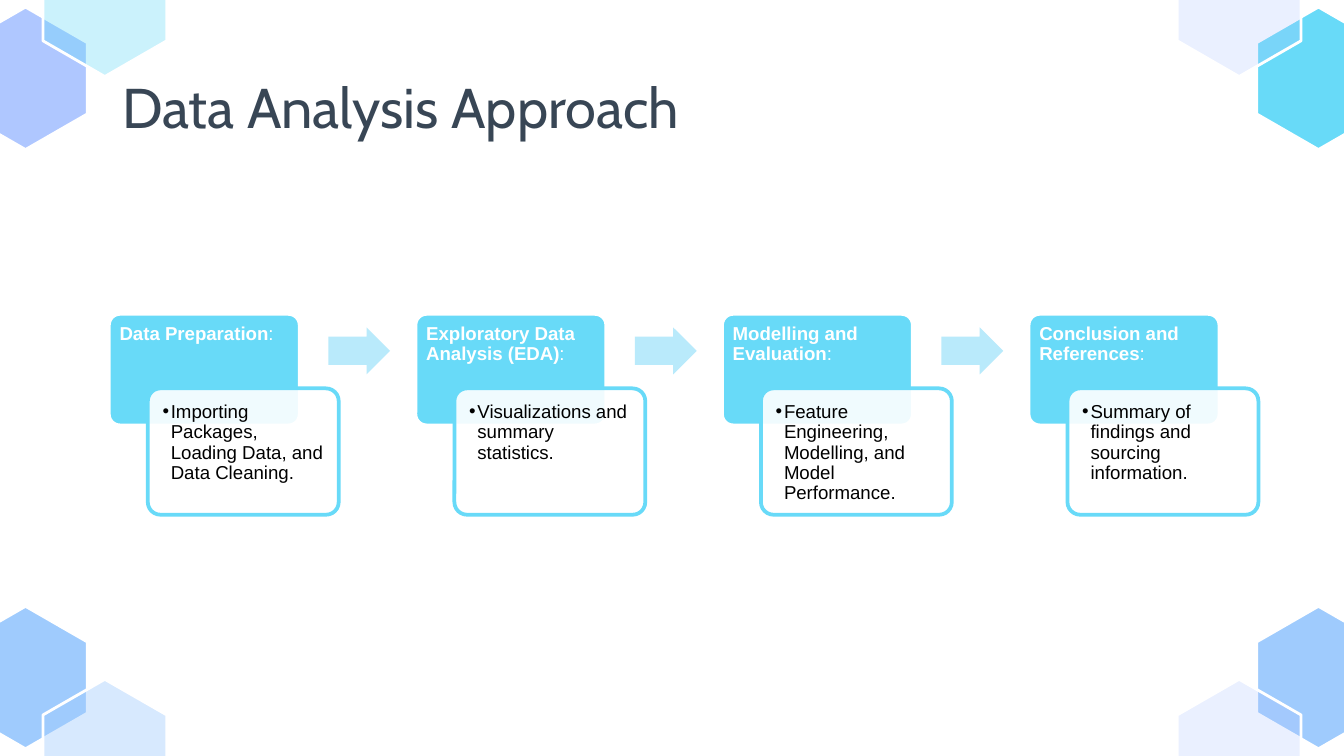
import pptx
import pptx.util
import pptx.dml.color
import pptx.enum.shapes
import pptx.enum.text
import pptx.oxml.ns
import lxml.etree
from dataclasses import dataclass

SHAPES = pptx.enum.shapes.MSO_SHAPE
ANCHOR = pptx.enum.text.MSO_ANCHOR


@dataclass(frozen=True)
class Theme:
    sky: str = "68DAF8"
    pale_sky: str = "B9EAFB"
    blue: str = "9FCBFD"
    lilac: str = "AFC7FF"
    white: str = "FFFFFF"
    ink: str = "384655"
    black: str = "000000"
    title_font: str = "Cabin"
    body_font: str = "Arial"
    title_size: int = 30
    body_size: int = 10


THEME = Theme()
COLUMNS, ROWS = 100, 56.25  # square grid cells, ten to the inch


def cells(count):
    return pptx.util.Inches(count / 10)


def rgb(value):
    return pptx.dml.color.RGBColor.from_string(value)


def add_child(parent, tag, **attributes):
    return lxml.etree.SubElement(parent, pptx.oxml.ns.qn(tag), attributes)


def write(box, *spans, font=THEME.body_font, size=THEME.body_size, color=THEME.black,
          spacing=0.9, insets=(0.8, 0.8, 0.8, 0.8), anchor=ANCHOR.TOP, bullet=False):
    """Fill a box with one paragraph of (text, bold) spans; insets are left, top, right, bottom."""
    frame = box.text_frame
    frame.word_wrap = True
    frame.auto_size = pptx.enum.text.MSO_AUTO_SIZE.NONE
    frame.vertical_anchor = anchor
    (frame.margin_left, frame.margin_top,
     frame.margin_right, frame.margin_bottom) = map(cells, insets)
    para = frame.paragraphs[0]
    para.alignment = pptx.enum.text.PP_ALIGN.LEFT
    para.line_spacing = spacing
    para.space_before = pptx.util.Pt(0)
    if bullet:
        properties = para._p.get_or_add_pPr()
        properties.set("marL", str(cells(0.62)))
        properties.set("indent", str(-cells(0.62)))
        add_child(add_child(properties, "a:buClr"), "a:srgbClr", val=color)
        add_child(properties, "a:buFont", typeface=font)
        add_child(properties, "a:buChar", char="•")
    for text, bold in spans:
        span = para.add_run()
        span.text = text
        span.font.name = font
        span.font.size = pptx.util.Pt(size)
        span.font.bold = bold
        span.font.color.rgb = rgb(color)


class SlideBuilder:
    def __init__(self, theme):
        self.theme = theme
        self.deck = pptx.Presentation()
        self.deck.slide_width = cells(COLUMNS)
        self.deck.slide_height = cells(ROWS)
        self.page = self.deck.slides.add_slide(self.deck.slide_layouts[5])

    def paint(self, shape, fill, opacity=100, line=None, width=2):
        shape.shadow.inherit = False
        shape.fill.solid()
        shape.fill.fore_color.rgb = rgb(fill)
        if opacity < 100:
            color = shape.fill._xPr.find(".//" + pptx.oxml.ns.qn("a:srgbClr"))
            add_child(color, "a:alpha", val=str(opacity * 1000))
        if line:
            shape.line.color.rgb = rgb(line)
            shape.line.width = pptx.util.Pt(width)
        else:
            shape.line.fill.background()

    def title(self, text, *place):
        box = self.page.shapes.title
        box.left, box.top, box.width, box.height = map(cells, place)
        write(box, (text, False), font=self.theme.title_font, size=self.theme.title_size,
              color=self.theme.ink, spacing=1.15, insets=(1, 1, 1, 1), anchor=ANCHOR.BOTTOM)

    def hexagon(self, left, top, fill, opacity=100):
        width, height, shoulder = 9.2, 10.6, 2.65
        middle, right = left + width / 2, left + width
        upper, lower, bottom = top + shoulder, top + height - shoulder, top + height
        outline = [(middle, top), (left, upper), (left, lower),
                   (middle, bottom), (right, lower), (right, upper)]
        points = [(cells(x), cells(y)) for x, y in outline]
        builder = self.page.shapes.build_freeform(*points[0])
        builder.add_line_segments(points[1:], close=True)
        self.paint(builder.convert_to_shape(), fill, opacity, self.theme.white, 1.5)

    def shape(self, kind, place, adjustments, fill, **style):
        shape = self.page.shapes.add_shape(kind, *map(cells, place))
        for index, value in enumerate(adjustments):
            shape.adjustments[index] = value
        self.paint(shape, fill, **style)

    def text(self, place, *spans, **style):
        write(self.page.shapes.add_textbox(*map(cells, place)), *spans, **style)

    def step(self, left, heading, detail):
        theme = self.theme
        # Heading card
        self.shape(SHAPES.ROUNDED_RECTANGLE, (left, 23.36, 14.2, 8.3), [0.1],
                   theme.sky, line=theme.white)
        self.text((left, 23.36, 14.2, 5.5), (heading, True), (":", False),
                  color=theme.white, insets=(0.8, 0.76, 0.8, 0.4))
        # Overlapping detail card
        self.shape(SHAPES.ROUNDED_RECTANGLE, (left + 2.9, 28.9, 14.2, 9.4), [0.1],
                   theme.white, opacity=90, line=theme.sky)
        self.text((left + 3.2, 29.15, 13.7, 8.8), (detail, False), bullet=True)

    def arrow(self, left):
        self.shape(SHAPES.RIGHT_ARROW, (left, 24.36, 4.6, 3.5), [0.6, 0.5], self.theme.pale_sky)


STEPS = [
    ("Data Preparation", "Importing Packages, Loading Data, and Data Cleaning."),
    ("Exploratory Data Analysis (EDA)", "Visualizations and summary statistics."),
    ("Modelling and Evaluation", "Feature Engineering, Modelling, and Model Performance."),
    ("Conclusion and References", "Summary of findings and sourcing information."),
]

# Right side, bottom side, solid colour, then tint and its opacity
CORNERS = [
    (False, True, THEME.blue, THEME.blue, 41),
    (True, True, THEME.blue, THEME.lilac, 25),
    (False, False, THEME.lilac, THEME.sky, 34),
    (True, False, THEME.sky, THEME.lilac, 25),
]


def main():
    slide = SlideBuilder(THEME)

    # Corner hexagons, mirrored across both axes
    for on_right, on_bottom, solid, tint, opacity in CORNERS:
        for x, y, fill, strength in [(-2.7, 0.53, solid, 100), (3.2, -4.9, tint, opacity)]:
            left = COLUMNS - 9.2 - x if on_right else x
            top = ROWS - 10.6 - y if on_bottom else y
            slide.hexagon(left, top, fill, strength)

    slide.title("Data Analysis Approach", 8.1, 3.7, 69.3, 7.7)

    # Process steps with arrows between them
    first, pitch = 8.1, 22.81
    for index, (heading, detail) in enumerate(STEPS):
        left = first + index * pitch
        slide.step(left, heading, detail)
        if index < len(STEPS) - 1:
            slide.arrow(left + 16.33)

    slide.deck.save("out.pptx")


if __name__ == "__main__":
    main()
